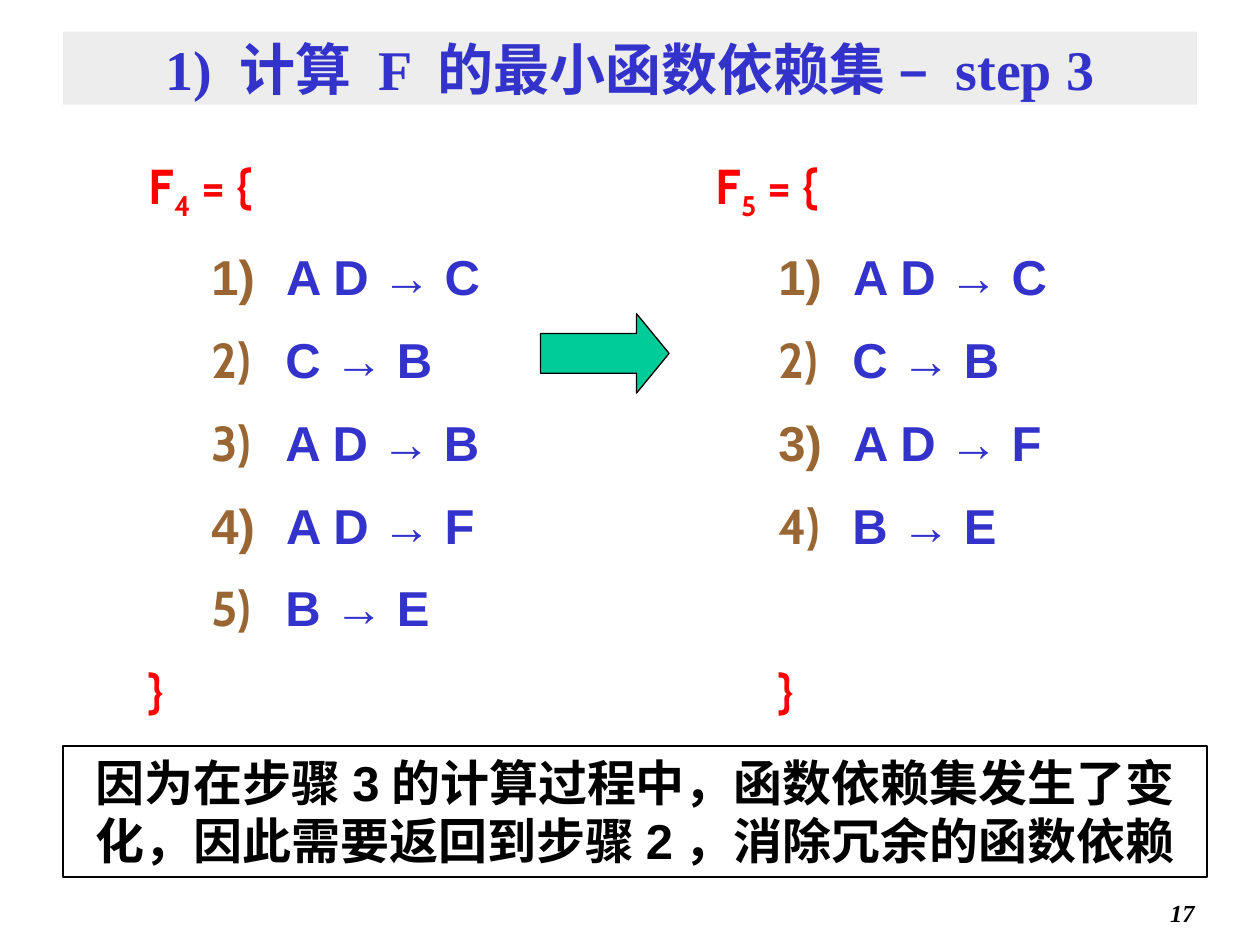
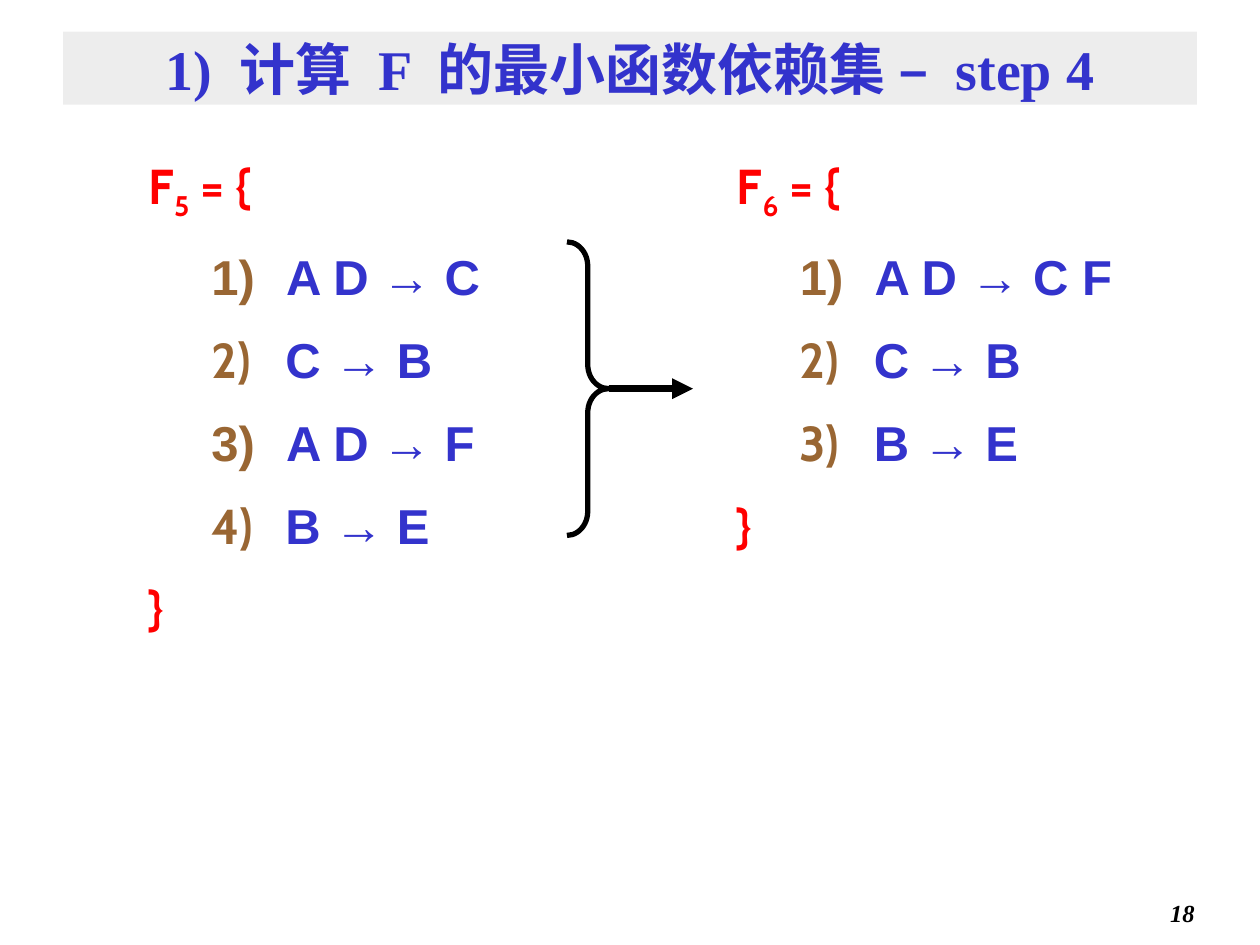
from dataclasses import dataclass

from lxml import etree
from pptx import Presentation
from pptx import util as u
from pptx.dml.color import RGBColor
from pptx.enum import shapes, text
from pptx.oxml.ns import qn

BLUE, RED, BROWN, BLACK = "3333CC", "FF0000", "996633", "000000"
WHITE, BAND, GREEN = "FFFFFF", "DDDDDD", "00CC99"
SANS, CABIN, SERIF = "Arial", "Cabin", "Times New Roman"
COLUMN_TOP = 1.08
LINE_PITCH = u.Pt(47)


@dataclass
class Dependency:
    rule: str
    number_font: str = CABIN


@dataclass
class DependencySet:
    index: str
    left: float
    width: float
    height: float
    dependencies: list[Dependency]
    brace_indent: float = 0
    lines_skipped: int = 0


@dataclass
class Step:
    number: int
    page_number: int
    before: DependencySet
    after: DependencySet


AD_C = Dependency("A D → C", SANS)
AD_F = Dependency("A D → F", SANS)
AD_B = Dependency("A D → B")
C_B = Dependency("C → B")
B_E = Dependency("B → E")

STEP_3 = Step(
    3, 17,
    DependencySet("4", 1.08, 3.42, 6, [AD_C, C_B, AD_B, AD_F, B_E]),
    DependencySet("5", 5.58, 3.42, 6, [AD_C, C_B, AD_F, B_E], 0.5, 1),
)
STEP_4 = Step(
    4, 18,
    DependencySet("5", 1.08, 3.42, 6.17, [AD_C, C_B, AD_F, B_E]),
    DependencySet("6", 5.75, 3.83, 5.75,
                  [Dependency("A D → C F", SANS), C_B, B_E]),
)


def color(value: str) -> RGBColor:
    return RGBColor.from_string(value)


def inches(*lengths: float) -> list:
    return [u.Inches(length) for length in lengths]


def add_span(para, words: str, *, size=28, font=CABIN, fill=RED,
             italic=False, baseline=0) -> None:
    span = para.add_run()
    span.text = words
    span.font.size = u.Pt(size)
    span.font.name = font
    span.font.bold = True
    span.font.italic = italic
    span.font.color.rgb = color(fill)
    if baseline:
        span._r.get_or_add_rPr().set("baseline", str(baseline * 1000))


def add_box(page, left: float, top: float, width: float, height: float):
    box = page.shapes.add_textbox(*inches(left, top, width, height))
    box.text_frame.word_wrap = True
    return box


def add_preset(page, kind, area, *, fill=None, line_width=0.75):
    shape = page.shapes.add_shape(kind, *inches(*area))
    shape.shadow.inherit = False
    if fill:
        shape.fill.solid()
        shape.fill.fore_color.rgb = color(fill)
    else:
        shape.fill.background()
    shape.line.color.rgb = color(BLACK)
    shape.line.width = u.Pt(line_width)
    return shape


def set_indent(para, left: float, first: float) -> None:
    props = para._p.get_or_add_pPr()
    props.set("marL", str(u.Inches(left)))
    props.set("indent", str(u.Inches(first)))


def number_paragraph(para) -> None:
    """Turn on automatic 1) 2) 3) numbering in brown."""
    props = para._p.get_or_add_pPr()
    bullet_color = etree.SubElement(props, qn("a:buClr"))
    etree.SubElement(bullet_color, qn("a:srgbClr"), val=BROWN)
    etree.SubElement(props, qn("a:buAutoNum"), type="arabicParenR")


def add_set_line(frame, *, first_line=False, left=0.5, first=-0.5):
    para = frame.paragraphs[0] if first_line else frame.add_paragraph()
    para.line_spacing = 1.2
    para.space_before = u.Pt(7)
    set_indent(para, left, first)
    return para


def draw_set(page, group: DependencySet) -> None:
    box = add_box(page, group.left, COLUMN_TOP, group.width, group.height)
    frame = box.text_frame
    header = add_set_line(frame, first_line=True)
    add_span(header, "F")
    add_span(header, group.index, baseline=-25)
    add_span(header, " = {")
    for dependency in group.dependencies:
        para = add_set_line(frame, left=1)
        para.level = 1
        number_paragraph(para)
        add_span(para, " ", font=dependency.number_font, fill=BLUE)
        add_span(para, dependency.rule, font=SANS, fill=BLUE)
    closing = add_set_line(frame, left=group.brace_indent, first=0)
    closing.space_before = u.Pt(7) + group.lines_skipped * LINE_PITCH
    add_span(closing, "}")


def draw_title(page, number: int) -> None:
    title = page.shapes.title
    title.left, title.top, title.width, title.height = inches(0.5, 0.25, 9, 0.58)
    title.fill.solid()
    title.fill.fore_color.rgb = color(BAND)
    shade = title._element.spPr.find(".//" + qn("a:srgbClr"))
    etree.SubElement(shade, qn("a:alpha"), val="50000")
    frame = title.text_frame
    frame.auto_size = text.MSO_AUTO_SIZE.NONE
    frame.vertical_anchor = text.MSO_ANCHOR.MIDDLE
    para = frame.paragraphs[0]
    para.alignment = text.PP_ALIGN.CENTER
    add_span(para, f"1) 计算 F 的最小函数依赖集 – step {number}",
             size=32, font=SERIF, fill=BLUE)


def draw_page_number(page, number: int) -> None:
    para = add_box(page, 7.5, 7.08, 2.08, 0.33).text_frame.paragraphs[0]
    para.alignment = text.PP_ALIGN.RIGHT
    add_span(para, str(number), size=14, font=SERIF, fill=BLACK, italic=True)


def add_step(deck, step: Step):
    page = deck.slides.add_slide(deck.slide_layouts[5])
    draw_title(page, step.number)
    draw_set(page, step.before)
    draw_set(page, step.after)
    draw_page_number(page, step.page_number)
    return page


def draw_note(page, words: str) -> None:
    note = add_preset(page, shapes.MSO_SHAPE.RECTANGLE, (0.5, 5.92, 9.08, 1.04),
                      fill=WHITE, line_width=1.5)
    frame = note.text_frame
    frame.word_wrap = True
    frame.auto_size = text.MSO_AUTO_SIZE.SHAPE_TO_FIT_TEXT
    frame.vertical_anchor = text.MSO_ANCHOR.TOP
    para = frame.paragraphs[0]
    para.alignment = text.PP_ALIGN.CENTER
    add_span(para, words, font=SANS, fill=BLACK)


def draw_block_arrow(page) -> None:
    arrow = add_preset(page, shapes.MSO_SHAPE.RIGHT_ARROW,
                       (4.29, 2.49, 1.02, 0.63), fill=GREEN)
    arrow.adjustments[1] = 0.41


def draw_merge_arrow(page) -> None:
    """Draw a brace round the left set with an arrow to the right set."""
    left, top, width, height = 4.5, 1.92, 0.33, 2.33
    brace = add_preset(page, shapes.MSO_SHAPE.RIGHT_BRACE,
                       (left, top, width, height), line_width=3)
    brace.adjustments[0] = 0.58
    middle = top + height / 2
    arrow = page.shapes.add_connector(
        shapes.MSO_CONNECTOR.STRAIGHT, *inches(left + width, middle, 5.5, middle))
    arrow.line.color.rgb = color(BLACK)
    arrow.line.width = u.Pt(4)
    etree.SubElement(arrow.line._get_or_add_ln(), qn("a:tailEnd"), type="triangle")
    etree.SubElement(arrow._element.spPr, qn("a:effectLst"))


def main() -> None:
    deck = Presentation()
    deck.slide_width, deck.slide_height = inches(10, 7.5)
    page = add_step(deck, STEP_3)
    draw_note(page, "因为在步骤3的计算过程中，函数依赖集发生了变化，"
                    "因此需要返回到步骤2，消除冗余的函数依赖")
    draw_block_arrow(page)
    draw_merge_arrow(add_step(deck, STEP_4))
    deck.save("out.pptx")


if __name__ == "__main__":
    main()
